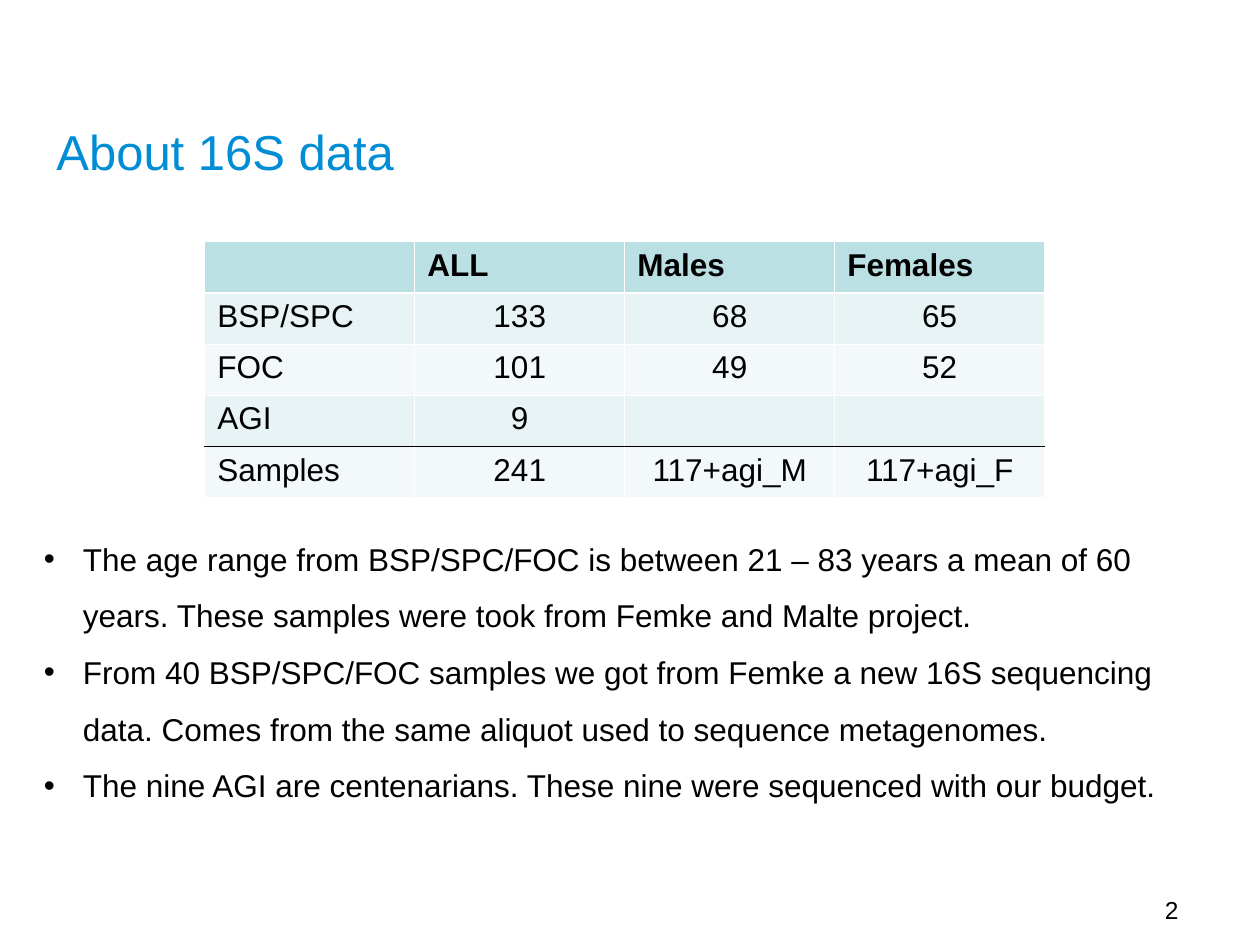
from typing import NamedTuple

from lxml.etree import SubElement
from pptx import Presentation
from pptx.dml.color import RGBColor
from pptx.enum.text import MSO_ANCHOR, PP_ALIGN
from pptx.oxml.ns import qn
from pptx.util import Emu, Inches, Pt

COLORS = {
    "title": "008DD5",
    "text": "000000",
    "header": "BBE0E3",
    "odd": "E7F3F4",
    "even": "F3F9FA",
    "grid": "FFFFFF",
}
FONT = "Arial"
UNIT = Inches(1) / 12  # grid step: the slide is 120 columns by 90 rows
SAMPLE_COUNTS = [
    ("", "ALL", "Males", "Females"),
    ("BSP/SPC", "133", "68", "65"),
    ("FOC", "101", "49", "52"),
    ("AGI", "9", "", ""),
    ("Samples", "241", "117+agi_M", "117+agi_F"),
]
NOTES = [
    "The age range from BSP/SPC/FOC is between 21 – 83 years a mean of 60 years. "
    "These samples were took from Femke and Malte project.",
    "From 40 BSP/SPC/FOC samples we got from Femke a new 16S sequencing data. "
    "Comes from the same aliquot used to sequence metagenomes.",
    "The nine AGI are centenarians. These nine were sequenced with our budget.",
]


class Frame(NamedTuple):
    """A place on the slide, in grid columns and rows."""
    col: float
    row: float
    cols: float
    rows: float

    def emu(self) -> list[Emu]:
        return [Emu(round(value * UNIT)) for value in self]


class Border(NamedTuple):
    color: str
    width: float


THIN = Border("grid", 0.45)
THICK = Border("grid", 1.47)
RULE = Border("text", 0.45)
# Horizontal lines from the top of the table to its bottom
ROW_LINES = [THIN, THICK, THIN, THIN, RULE, THIN]


def add_bullet(para) -> None:
    props = para._p.get_or_add_pPr()
    props.set("marL", str(Inches(0.31)))
    props.set("indent", str(-Inches(0.31)))
    SubElement(props, qn("a:buFont"), typeface=FONT)
    SubElement(props, qn("a:buChar"), char="•")


def write(frame, lines: list[str], size=18, color="text", bold=False,
          align=PP_ALIGN.LEFT, spacing=None, bullet=False) -> None:
    for index, line in enumerate(lines):
        para = frame.add_paragraph() if index else frame.paragraphs[0]
        if bullet:
            add_bullet(para)
        para.alignment = align
        if spacing:
            para.line_spacing = spacing
        if line:
            span = para.add_run()
            span.text = line
            span.font.name = FONT
            span.font.size = Pt(size)
            span.font.bold = bold
            span.font.color.rgb = RGBColor.from_string(COLORS[color])


def add_text(page, place: Frame, lines: list[str], wrap=True, **style) -> None:
    box = page.shapes.add_textbox(*place.emu())
    box.text_frame.word_wrap = wrap
    write(box.text_frame, lines, **style)


def set_borders(cell, top: Border, bottom: Border) -> None:
    """Put the four lines ahead of the cell's fill, as the schema asks."""
    props = cell._tc.get_or_add_tcPr()
    sides = {"L": THIN, "R": THIN, "T": top, "B": bottom}
    for index, (side, border) in enumerate(sides.items()):
        line = SubElement(props, qn(f"a:ln{side}"), w=str(Pt(border.width)))
        fill = SubElement(line, qn("a:solidFill"))
        SubElement(fill, qn("a:srgbClr"), val=COLORS[border.color])
        props.insert(index, line)


def add_counts_table(page, place: Frame) -> None:
    row_count, col_count = len(SAMPLE_COUNTS), len(SAMPLE_COUNTS[0])
    table = page.shapes.add_table(row_count, col_count, *place.emu()).table
    for r, values in enumerate(SAMPLE_COUNTS):
        band = "header" if r == 0 else "odd" if r % 2 else "even"
        for c, value in enumerate(values):
            cell = table.cell(r, c)
            cell.vertical_anchor = MSO_ANCHOR.TOP
            cell.fill.solid()
            cell.fill.fore_color.rgb = RGBColor.from_string(COLORS[band])
            set_borders(cell, ROW_LINES[r], ROW_LINES[r + 1])
            write(cell.text_frame, [value], bold=r == 0,
                  align=PP_ALIGN.CENTER if r and c else PP_ALIGN.LEFT)


def main() -> None:
    deck = Presentation()
    deck.slide_width, deck.slide_height = Inches(10), Inches(7.5)
    page = deck.slides.add_slide(deck.slide_layouts[6])
    add_text(page, Frame(107.6, 84.7, 8, 4.1), ["2"], size=14,
             align=PP_ALIGN.CENTER)
    add_text(page, Frame(4.2, 11, 34.6, 6.9), ["About 16S data"], wrap=False,
             size=28, color="title")
    add_text(page, Frame(3, 49, 110, 33.6), NOTES, spacing=1.5, bullet=True)
    add_counts_table(page, Frame(19.5, 23, 80, 24.4))
    deck.save("out.pptx")


if __name__ == "__main__":
    main()
